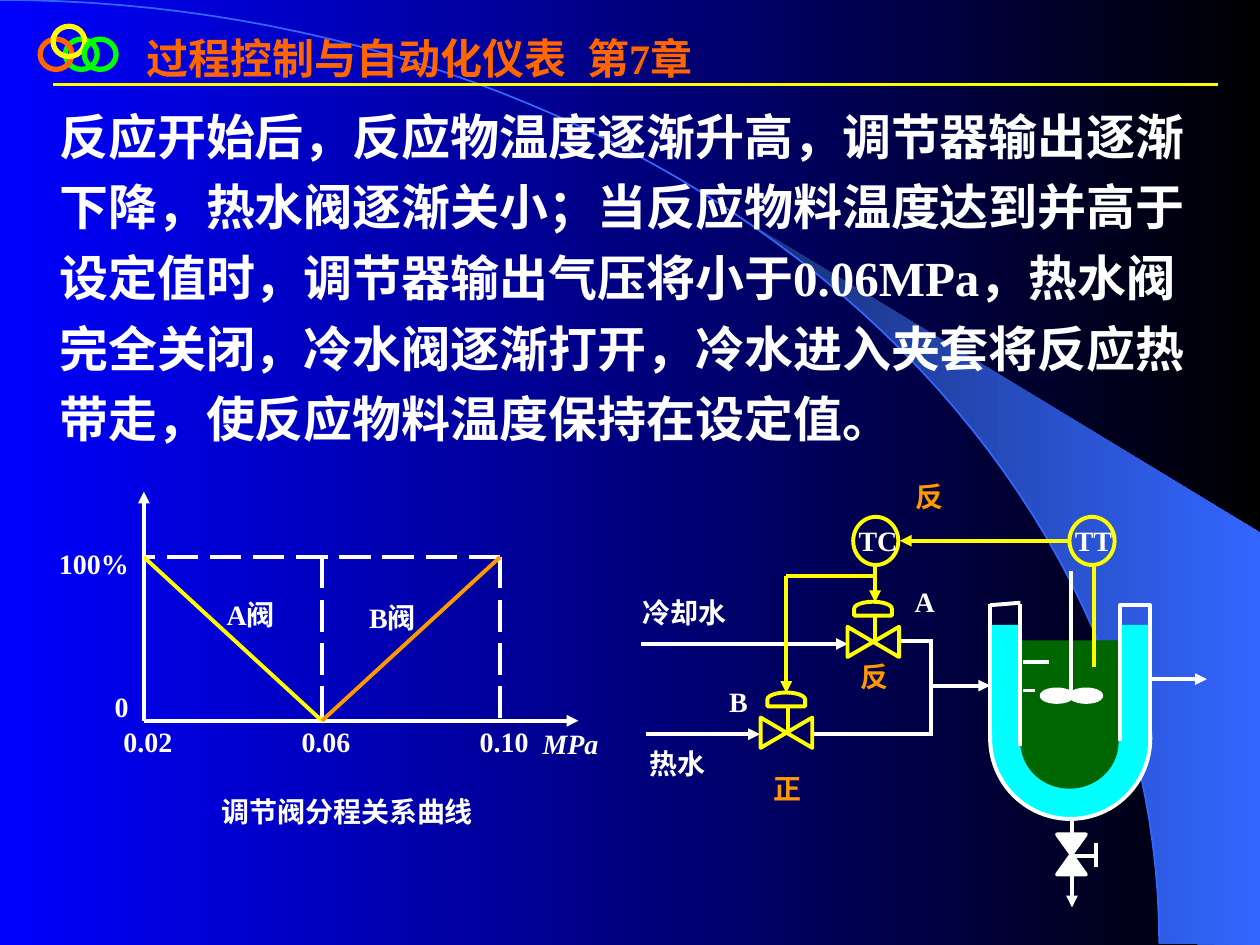
from dataclasses import dataclass
from math import asin, cos, pi, sin

from lxml.etree import SubElement
from pptx import Presentation
from pptx.dml.color import RGBColor
from pptx.enum.dml import MSO_LINE
from pptx.enum.shapes import MSO_CONNECTOR, MSO_SHAPE
from pptx.enum.text import MSO_ANCHOR, MSO_AUTO_SIZE, PP_ALIGN
from pptx.oxml.ns import qn
from pptx.util import Cm, Pt


@dataclass(frozen=True)
class Theme:
    white: str = "FFFFFF"
    yellow: str = "FFFF00"
    orange: str = "FF9900"
    heading: str = "FF6600"
    green: str = "00FF00"
    water: str = "00FFFF"
    reactant: str = "006600"
    arc: str = "3366FF"
    wedge: tuple = ("182F76", "3366FF")
    background: tuple = ("0000FF", "000000")
    latin: str = "Times New Roman"
    chinese: str = "Noto Sans CJK SC"
    heading_size: int = 24
    body_size: int = 28
    label_size: int = 16
    stroke: float = 2.25


THEME = Theme()


def rgb(color):
    return RGBColor.from_string(color)


def set_gradient(fill, colors):
    fill.gradient()
    fill.gradient_angle = 0
    for stop, color in zip(fill.gradient_stops, colors):
        stop.color.rgb = rgb(color)


def format_run(run, size, color, latin=THEME.latin):
    run.font.size = Pt(size)
    run.font.bold = True
    run.font.color.rgb = rgb(color)
    run.font.name = latin
    SubElement(run.font._element, qn("a:ea"), typeface=THEME.chinese)


@dataclass
class Region:
    """Draws parts at centimetre offsets from its own left top corner."""
    slide: object
    left: float
    top: float

    def at(self, x, y):
        return Cm(self.left + x), Cm(self.top + y)

    def line(self, start, end, color=THEME.white, arrow=False, dashed=False, width=THEME.stroke):
        connector = self.slide.shapes.add_connector(
            MSO_CONNECTOR.STRAIGHT, *self.at(*start), *self.at(*end))
        connector.line.color.rgb = rgb(color)
        connector.line.width = Pt(width)
        if dashed:
            connector.line.dash_style = MSO_LINE.LONG_DASH
        properties = connector._element.spPr
        if arrow:
            SubElement(properties.find(qn("a:ln")), qn("a:tailEnd"), type="triangle")
        SubElement(properties, qn("a:effectLst"))

    def shape(self, preset, x, y, w, h, fill=None, line=None, width=THEME.stroke, rotation=0):
        part = self.slide.shapes.add_shape(preset, *self.at(x, y), Cm(w), Cm(h))
        part.shadow.inherit = False
        part.rotation = rotation
        if fill:
            part.fill.solid()
            part.fill.fore_color.rgb = rgb(fill)
        else:
            part.fill.background()
        if line:
            part.line.color.rgb = rgb(line)
            part.line.width = Pt(width)
        else:
            part.line.fill.background()

    def label(self, text, x, y, w, h, color=THEME.white, spacing=1.0, align=PP_ALIGN.LEFT, italic=False):
        frame = self.slide.shapes.add_textbox(*self.at(x, y), Cm(w), Cm(h)).text_frame
        frame.word_wrap = True
        frame.text = text
        paragraph = frame.paragraphs[0]
        paragraph.alignment = align
        paragraph.line_spacing = spacing
        run = paragraph.runs[0]
        format_run(run, THEME.label_size, color)
        if italic:
            run.font.italic = True


def draw_backdrop(slide, width, height):
    """Large quarter arc with the lit wedge along its lower part."""
    set_gradient(slide.background.fill, THEME.background)
    arc_w, arc_h, steps = 23.37, 19.02, 60

    def arc_points(start):
        angles = [start + (pi / 2 - start) * i / steps for i in range(steps + 1)]
        return [(Cm(arc_w * sin(a)), Cm(arc_h * (1 - cos(a)))) for a in angles]

    corner = [(Cm(width), Cm(height)), (Cm(width), Cm(10.74))]
    wedge_points = arc_points(asin(0.64)) + corner
    for points, closed in ((wedge_points, True), (arc_points(0), False)):
        builder = slide.shapes.build_freeform(*points[0])
        builder.add_line_segments(points[1:], close=closed)
        outline = builder.convert_to_shape()
        outline.shadow.inherit = False
        if closed:
            set_gradient(outline.fill, THEME.wedge)
            outline.line.fill.background()
        else:
            outline.fill.background()
            outline.line.color.rgb = rgb(THEME.arc)
            outline.line.width = Pt(1)


def place_text(placeholder, left, top, width, height, anchor):
    """Moves a placeholder in front of the backdrop and returns its paragraph."""
    placeholder.left, placeholder.top = Cm(left), Cm(top)
    placeholder.width, placeholder.height = Cm(width), Cm(height)
    tree = placeholder.element.getparent()
    tree.append(placeholder.element)
    frame = placeholder.text_frame
    frame.word_wrap = True
    frame.auto_size = MSO_AUTO_SIZE.NONE
    frame.vertical_anchor = anchor
    paragraph = frame.paragraphs[0]
    properties = paragraph._p.get_or_add_pPr()
    properties.set("marL", "0")
    properties.set("indent", "0")
    SubElement(properties, qn("a:buNone"))
    paragraph.alignment = PP_ALIGN.LEFT
    paragraph.space_before = Pt(0)
    return paragraph


def draw_header(slide, left, top):
    header = Region(slide, left, top)
    for x, y, color in ((0.51, 0.26, THEME.green), (0, 0.26, THEME.heading),
                        (0.26, 0, THEME.yellow), (0.89, 0.26, THEME.green)):
        header.shape(MSO_SHAPE.OVAL, x, y, 0.64, 0.61, line=color, width=3)
    header.line((0.26, 1.17), (23.75, 1.17), THEME.yellow, width=1.5)
    paragraph = place_text(slide.shapes.title, left + 1.88, top, 21.39, 1.27, MSO_ANCHOR.TOP)
    tabs = SubElement(paragraph._p.get_or_add_pPr(), qn("a:tabLst"))
    SubElement(tabs, qn("a:tab"), pos=str(Cm(9.04)), algn="l")
    paragraph.text = "过程控制与自动化仪表\t第7章"
    for run in paragraph.runs:
        format_run(run, THEME.heading_size, THEME.heading)


def write_body(slide, left, top, width, height):
    paragraph = place_text(slide.placeholders[1], left, top, width, height, MSO_ANCHOR.MIDDLE)
    paragraph.line_spacing = 1.2
    for text, latin in (
        ("反应开始后，反应物温度逐渐升高，调节器输出逐渐下降，热水阀逐渐关小；"
         "当反应物料温度达到并高于设定值时，调节器输出气压将小于", THEME.chinese),
        ("0.06MPa", THEME.latin),
        ("，热水阀完全关闭，冷水阀逐渐打开，冷水进入夹套将反应热带走，"
         "使反应物料温度保持在设定值。", THEME.chinese),
    ):
        run = paragraph.add_run()
        run.text = text
        format_run(run, THEME.body_size, THEME.white, latin)


def draw_split_range(slide, left, top):
    graph = Region(slide, left, top)
    low, high, closed, opened = 1.96, 9.14, 4.62, 1.32
    middle = (low + high) / 2
    graph.line((low, closed), (low, 0), arrow=True)
    graph.line((low, closed), (10.72, closed), arrow=True)
    graph.line((high, opened), (low, opened), dashed=True)
    for x in (middle, high):
        graph.line((x, opened), (x, closed), dashed=True)
    graph.line((low, opened), (middle, closed), THEME.yellow)
    graph.line((high, opened), (middle, closed), THEME.orange)
    for x, text in ((low, "0.02"), (middle, "0.06"), (high, "0.10")):
        graph.label(text, x - 0.66, 4.57, 2.08, 0.81)
    graph.label("100%", 0, 0.99, 2.08, 0.64)
    graph.label("0", 1.12, 3.86, 1.12, 0.81)
    graph.label("MPa", 9.75, 4.62, 2.06, 0.91, italic=True)
    graph.label("A阀", 3.38, 2.01, 1.78, 1.09)
    graph.label("B阀", 6.25, 2.08, 1.52, 1.09)
    graph.label("调节阀分程关系曲线", 2.27, 5.99, 7.59, 0.89, align=PP_ALIGN.CENTER)


def draw_reactor(slide, left, top):
    reactor = Region(slide, left, top)
    reactor.shape(MSO_SHAPE.OVAL, 0, 1.75, 3.23, 3.25, THEME.water, THEME.white)
    reactor.shape(MSO_SHAPE.OVAL, 0.61, 2.51, 1.98, 1.88, THEME.reactant)
    reactor.shape(MSO_SHAPE.RECTANGLE, 0.58, 1.4, 2.03, 2.03, THEME.reactant)
    for x in (0, 2.62):
        reactor.shape(MSO_SHAPE.RECTANGLE, x, 1.09, 0.58, 2.18, THEME.water)
    for x, bottom in ((0, 3.45), (0.6, 3.53), (2.62, 3.43), (3.23, 3.45)):
        reactor.line((x, 0.67), (x, bottom))
    reactor.line((0, 0.69), (0.61, 0.64))
    reactor.line((2.59, 0.69), (3.25, 0.69))
    reactor.line((1.63, 0), (1.63, 2.54))
    for x in (1.04, 1.63):
        reactor.shape(MSO_SHAPE.OVAL, x, 2.39, 0.61, 0.25, THEME.white, THEME.white)
    reactor.line((0.66, 1.83), (1.19, 1.83))
    reactor.line((0.66, 2.41), (0.91, 2.41))
    reactor.line((-1.19, 2.31), (0, 2.31), arrow=True)
    reactor.line((3.23, 2.18), (4.37, 2.18), arrow=True)
    reactor.line((1.65, 5), (1.65, 6.78), arrow=True)
    reactor.shape(MSO_SHAPE.FLOWCHART_COLLATE, 1.35, 5.31, 0.58, 0.81, THEME.white, THEME.white)
    reactor.line((1.65, 5.74), (2.13, 5.74))
    reactor.line((2.13, 5.49), (2.13, 5.97))


def draw_control_valve(loop, x, y):
    """Valve centred on x, y with its stem and diaphragm above."""
    loop.shape(MSO_SHAPE.FLOWCHART_COLLATE, x - 0.3, y - 0.52, 0.61, 1.04, line=THEME.yellow, rotation=270)
    loop.shape(MSO_SHAPE.FLOWCHART_DELAY, x - 0.14, y - 1.05, 0.28, 0.76, line=THEME.yellow, rotation=270)
    loop.line((x + 0.03, y), (x + 0.03, y - 0.54), THEME.yellow)


def draw_control_loop(slide, left, top):
    loop = Region(slide, left, top)
    loop.line((0.23, 3.58), (4.39, 3.58), arrow=True)
    loop.line((0.33, 5.4), (2.62, 5.4), arrow=True)
    loop.line((5.38, 3.53), (6.1, 3.53))
    loop.line((3.66, 5.4), (6.1, 5.4))
    loop.line((6.07, 3.48), (6.07, 5.4))
    draw_control_valve(loop, 4.9, 3.54)
    draw_control_valve(loop, 3.15, 5.37)
    for x, text in ((4.5, "TC"), (8.86, "TT")):
        loop.shape(MSO_SHAPE.OVAL, x, 1.02, 0.91, 0.97, line=THEME.yellow)
        loop.label(text, x - 0.14, 0.89, 1.9, 0.89, spacing=1.2)
    loop.line((8.84, 1.5), (5.44, 1.5), THEME.yellow, arrow=True)
    loop.line((9.35, 1.98), (9.35, 4.04), THEME.yellow)
    loop.line((4.94, 1.98), (4.94, 2.74), THEME.yellow, arrow=True)
    loop.line((4.94, 2.22), (3.15, 2.22), THEME.yellow)
    loop.line((3.15, 2.22), (3.15, 4.57), THEME.yellow, arrow=True)
    for text, x, y, w in (("冷却水", 0, 2.34, 2.69), ("热水", 0.15, 5.38, 2.24),
                          ("A", 5.49, 2.13, 1.37), ("B", 1.75, 4.14, 1.37)):
        loop.label(text, x, y, w, 0.99, spacing=1.2)
    for text, x, y in (("正", 2.64, 5.89), ("反", 4.39, 3.63), ("反", 5.51, 0)):
        loop.label(text, x, y, 1.1, 1.07, THEME.orange, spacing=1.2)


def main():
    width, height = 25.4, 19.05
    deck = Presentation()
    deck.slide_width, deck.slide_height = Cm(width), Cm(height)
    slide = deck.slides.add_slide(deck.slide_layouts[1])
    draw_backdrop(slide, width, height)
    draw_header(slide, 0.81, 0.53)
    write_body(slide, 0.94, 1.78, 23.5, 7.37)
    draw_split_range(slide, 0.94, 9.91)
    draw_reactor(slide, 19.96, 11.51)
    draw_control_loop(slide, 12.7, 9.4)
    deck.save("out.pptx")


if __name__ == "__main__":
    main()
